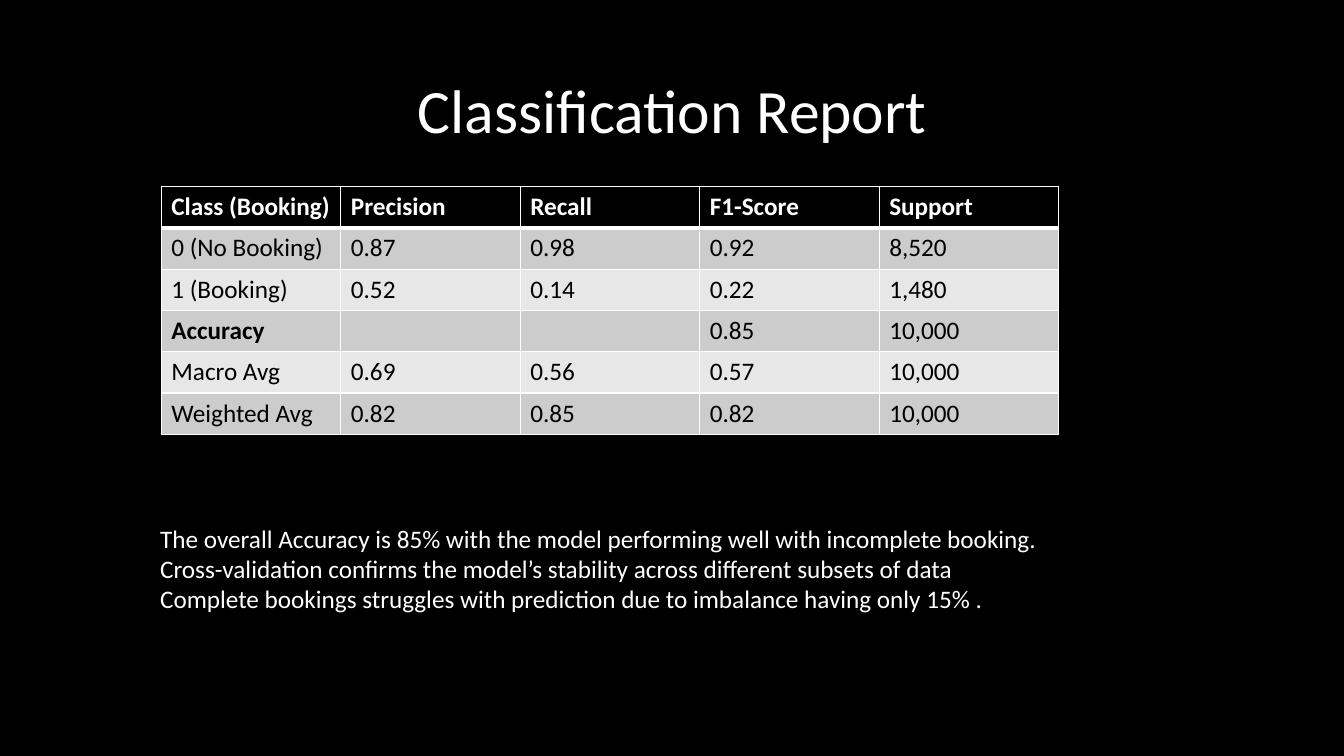
from dataclasses import dataclass

from lxml.etree import SubElement
from pptx import Presentation
from pptx.dml.color import RGBColor
from pptx.enum.text import MSO_ANCHOR, MSO_AUTO_SIZE, PP_ALIGN
from pptx.oxml.ns import qn
from pptx.util import Inches, Pt

COLORS = {
    "background": "000000",
    "light": "FFFFFF",
    "dark": "000000",
    "odd_band": "CCCCCC",
    "even_band": "E7E7E7",
}
FONT = "Calibri"
COLUMN_WIDTH, ROW_HEIGHT = 1.78, 0.41
SCORES = [
    ["Class (Booking)", "Precision", "Recall", "F1-Score", "Support"],
    ["0 (No Booking)", "0.87", "0.98", "0.92", "8,520"],
    ["1 (Booking)", "0.52", "0.14", "0.22", "1,480"],
    ["Accuracy", "", "", "0.85", "10,000"],
    ["Macro Avg", "0.69", "0.56", "0.57", "10,000"],
    ["Weighted Avg", "0.82", "0.85", "0.82", "10,000"],
]


@dataclass(frozen=True)
class TextBlock:
    left: float
    top: float
    width: float
    height: float
    paragraphs: tuple[str, ...]
    size: int
    align: PP_ALIGN = PP_ALIGN.LEFT
    anchor: MSO_ANCHOR = MSO_ANCHOR.TOP
    auto_size: MSO_AUTO_SIZE = MSO_AUTO_SIZE.NONE
    line_spacing: float = 1.0


TEXT_BLOCKS = [
    TextBlock(0.92, 0.4, 11.5, 1.45, ("Classification Report",), 44,
              PP_ALIGN.CENTER, MSO_ANCHOR.MIDDLE, line_spacing=0.9),
    TextBlock(1.49, 5.14, 9.06, 1.01, (
        "The overall Accuracy is 85% with the model performing well with incomplete booking.\n"
        "Cross-validation confirms the model’s stability across different subsets of data",
        "Complete bookings struggles with prediction due to imbalance having only 15% .",
    ), 18, auto_size=MSO_AUTO_SIZE.SHAPE_TO_FIT_TEXT),
]


def style_runs(paragraph, size: int, color: str, bold: bool = False) -> None:
    for run in paragraph.runs:
        run.font.name = FONT
        run.font.size = Pt(size)
        run.font.bold = bold
        run.font.color.rgb = RGBColor.from_string(COLORS[color])


def add_text_block(slide, block: TextBlock) -> None:
    box = slide.shapes.add_textbox(
        Inches(block.left), Inches(block.top), Inches(block.width), Inches(block.height))
    frame = box.text_frame
    frame.word_wrap = True
    frame.auto_size = block.auto_size
    frame.vertical_anchor = block.anchor
    for index, wording in enumerate(block.paragraphs):
        paragraph = frame.add_paragraph() if index else frame.paragraphs[0]
        paragraph.text = wording
        paragraph.alignment = block.align
        paragraph.line_spacing = block.line_spacing
        style_runs(paragraph, block.size, "light")


def add_borders(cell, top: int, bottom: int) -> None:
    properties = cell._tc.get_or_add_tcPr()
    for side, points in (("L", 1), ("R", 1), ("T", top), ("B", bottom)):
        line = SubElement(properties, qn(f"a:ln{side}"), w=str(Pt(points)))
        fill = SubElement(line, qn("a:solidFill"))
        SubElement(fill, qn("a:srgbClr"), val=COLORS["light"])


def add_score_table(slide, left: float, top: float) -> None:
    row_count, column_count = len(SCORES), len(SCORES[0])
    table = slide.shapes.add_table(
        row_count, column_count, Inches(left), Inches(top),
        Inches(COLUMN_WIDTH * column_count), Inches(ROW_HEIGHT * row_count)).table
    for column in table.columns:
        column.width = Inches(COLUMN_WIDTH)
    for r, scores in enumerate(SCORES):
        table.rows[r].height = Inches(ROW_HEIGHT)
        header = r == 0
        band = "dark" if header else "odd_band" if r % 2 else "even_band"
        for c, score in enumerate(scores):
            cell = table.cell(r, c)
            add_borders(cell, top=3 if r == 1 else 1, bottom=3 if header else 1)
            cell.fill.solid()
            cell.fill.fore_color.rgb = RGBColor.from_string(COLORS[band])
            cell.text_frame.text = score
            style_runs(cell.text_frame.paragraphs[0], 18,
                       "light" if header else "dark", header or score == "Accuracy")


def main() -> None:
    """Build the classification report slide."""
    presentation = Presentation()
    presentation.slide_width = Inches(13.33)
    presentation.slide_height = Inches(7.5)
    slide = presentation.slides.add_slide(presentation.slide_layouts[6])
    slide.background.fill.solid()
    slide.background.fill.fore_color.rgb = RGBColor.from_string(COLORS["background"])
    add_score_table(slide, 1.6, 1.85)
    for block in TEXT_BLOCKS:
        add_text_block(slide, block)
    presentation.save("out.pptx")


if __name__ == "__main__":
    main()
